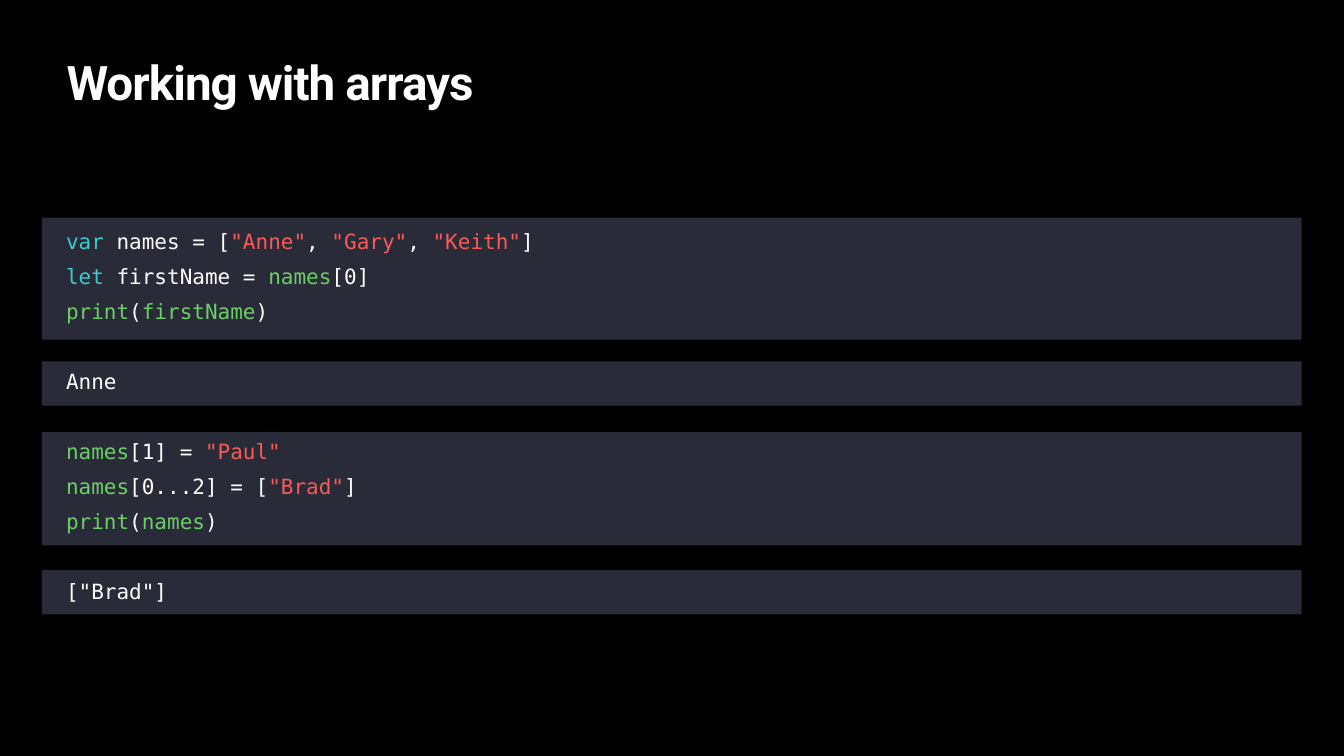
from pptx import Presentation
from pptx.dml.color import RGBColor
from pptx.enum.shapes import MSO_SHAPE
from pptx.enum.text import MSO_ANCHOR, MSO_AUTO_SIZE, PP_ALIGN
from pptx.oxml.ns import qn
from pptx.util import Inches, Pt

RECT = MSO_SHAPE.RECTANGLE
TOP, BOTTOM = MSO_ANCHOR.TOP, MSO_ANCHOR.BOTTOM
LEFT = PP_ALIGN.LEFT
FIXED = MSO_AUTO_SIZE.NONE

COLORS = {
    "back": "000000",
    "panel": "292B38",
    "plain": "FFFFFF",
    "key": "3DCCCC",
    "text": "F95B57",
    "name": "6CCE66",
}
LEAD = Pt(50)

# Each block is a list of lines; each line is a list of (color, text)
BLOCKS = [
    [
        [("key", "var"), ("plain", " names = ["), ("text", '"Anne"'),
         ("plain", ", "), ("text", '"Gary"'), ("plain", ", "),
         ("text", '"Keith"'), ("plain", "]")],
        [("key", "let"), ("plain", " firstName = "), ("name", "names"),
         ("plain", "[0]")],
        [("name", "print"), ("plain", "("), ("name", "firstName"),
         ("plain", ")")],
    ],
    [[("plain", "Anne")]],
    [
        [("name", "names"), ("plain", "[1] = "), ("text", '"Paul"')],
        [("name", "names"), ("plain", "[0...2] = ["), ("text", '"Brad"'),
         ("plain", "]")],
        [("name", "print"), ("plain", "("), ("name", "names"),
         ("plain", ")")],
    ],
    [[("plain", '["Brad"]')]],
]
# Top and height of the panel behind each block
PANELS = [(4.32, 2.42), (7.17, 0.88), (8.57, 2.25), (11.31, 0.88)]


def color(key):
    return RGBColor.from_string(COLORS[key])


def place(shape, box, anchor):
    """Move a placeholder to its box and return its text frame."""
    shape.left, shape.top, shape.width, shape.height = map(Inches, box)
    frame = shape.text_frame
    frame.word_wrap = True
    frame.auto_size = FIXED
    frame.vertical_anchor = anchor
    frame.margin_left = frame.margin_right = Inches(0.06)
    frame.margin_top = frame.margin_bottom = Inches(0.06)
    return frame


def style(para, face, size, lead):
    para.alignment = LEFT
    para.line_spacing = lead
    para.space_before = para.space_after = Pt(0)
    para.font.name = face
    para.font.size = Pt(size)


def add_title(slide, box, words):
    para = place(slide.shapes.title, box, BOTTOM).paragraphs[0]
    style(para, "Roboto", 68, Pt(73))
    para.font.bold = True
    para.font.color.rgb = color("plain")
    run = para.add_run()
    run.text = words
    run._r.get_or_add_rPr().set("spc", "-140")


def add_panels(slide, left, width):
    for top, height in PANELS:
        panel = slide.shapes.add_shape(
            RECT, *map(Inches, (left, top, width, height)))
        panel.shadow.inherit = False
        panel.fill.solid()
        panel.fill.fore_color.rgb = color("panel")
        panel.line.fill.background()


def add_code(slide, box):
    frame = place(slide.placeholders[1], box, TOP)
    para = frame.paragraphs[0]
    for block, lines in enumerate(BLOCKS):
        for row, parts in enumerate(lines):
            if block or row:
                para = frame.add_paragraph()
            style(para, "DejaVu Sans Mono", 30, LEAD)
            # One free line between blocks
            if block and not row:
                para.space_before = LEAD
            # No bullet, no indent
            props = para._p.get_or_add_pPr()
            props.set("marL", "0")
            props.set("indent", "0")
            none = props.makeelement(qn("a:buNone"), {})
            props.find(qn("a:defRPr")).addprevious(none)
            for key, words in parts:
                run = para.add_run()
                run.text = words
                run.font.color.rgb = color(key)


deck = Presentation()
deck.slide_width, deck.slide_height = Inches(26.67), Inches(15)
slide = deck.slides.add_slide(deck.slide_layouts[1])
slide.background.fill.solid()
slide.background.fill.fore_color.rgb = color("back")

texts = list(slide.placeholders)
add_panels(slide, 0.83, 25)
add_title(slide, (1.26, 0, 24.17, 2.25), "Working with arrays")
add_code(slide, (1.25, 4.28, 24.17, 9.97))

# Bring the text in front of the panels
for shape in texts:
    slide.shapes._spTree.append(shape._element)

deck.save("out.pptx")
